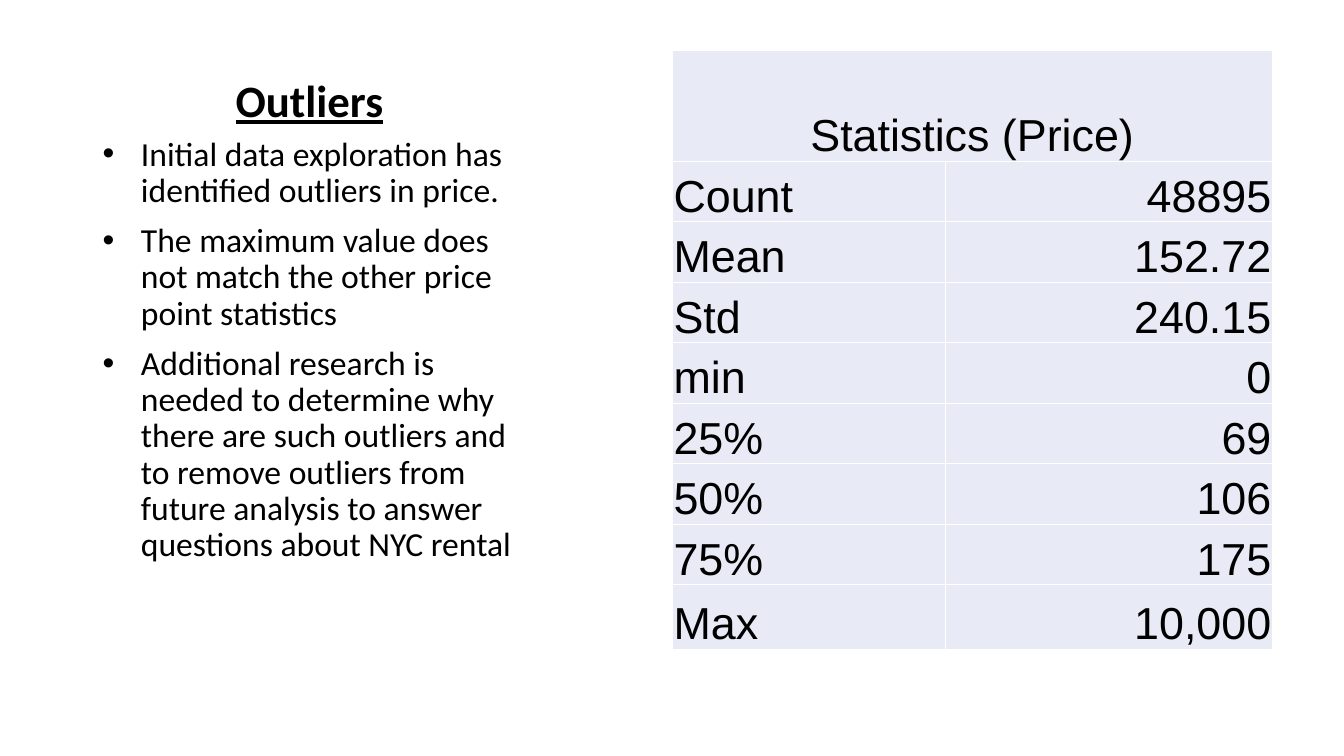
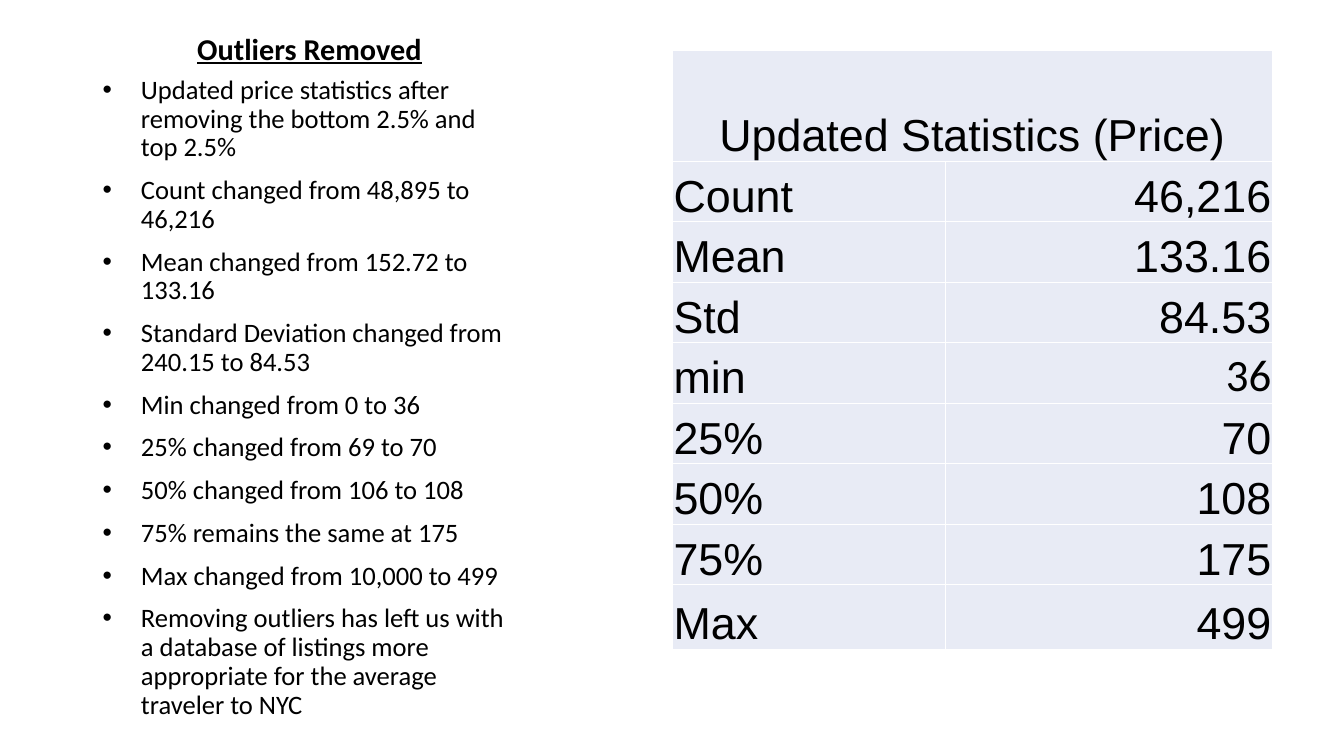
from lxml import etree
from pptx import Presentation, util as u
from pptx.dml.color import RGBColor
from pptx.enum import text
from pptx.oxml.ns import qn

INK = {"text": "000000", "cell": "E8EBF5", "rule": "FFFFFF"}
LEFT, CENTER, RIGHT = (text.PP_ALIGN.LEFT, text.PP_ALIGN.CENTER,
                       text.PP_ALIGN.RIGHT)
LABELS = ["Count", "Mean", "Std", "min", "25%", "50%", "75%", "Max"]
COLS = [2.71, 3.24]
ROWS = [1.1] + [0.6] * 7 + [0.64]

SLIDES = [
    {
        "title": "Outliers", "top": 0.5, "split": 1.31, "end": 6.41,
        "head": 32, "size": 24,
        "points": [
            "Initial data exploration has identified outliers in price.",
            "The maximum value does not match the other price point statistics",
            "Additional research is needed to determine why there are such "
            "outliers and to remove outliers from future analysis to answer "
            "questions about NYC rental",
        ],
        "caption": "Statistics (Price)",
        "stats": ["48895", "152.72", "240.15", "0", "69", "106", "175",
                  "10,000"],
        "fonts": {},
    },
    {
        "title": "Outliers Removed", "top": 0.26, "split": 0.71, "end": 7.36,
        "head": 21.6, "size": 19,
        "points": [
            "Updated price statistics after removing the bottom 2.5% and "
            "top 2.5%",
            "Count changed from 48,895 to 46,216",
            "Mean changed from 152.72 to 133.16",
            "Standard Deviation changed from 240.15 to 84.53",
            "Min changed from 0 to 36",
            "25% changed from 69 to 70",
            "50% changed from 106 to 108",
            "75% remains the same at 175",
            "Max changed from 10,000 to 499",
            "Removing outliers has left us with a database of listings more "
            "appropriate for the average traveler to NYC",
        ],
        "caption": "Updated Statistics (Price)",
        "stats": ["46,216", "133.16", "84.53", "36", "70", "108", "175",
                  "499"],
        "fonts": {"min": "Calibri"},
    },
]


def write(frame, lines, size, font="Calibri", align=LEFT, bold=False,
          line=None, bullet=False):
    """Fill a text frame, one paragraph per line."""
    frame.word_wrap = True
    for i, words in enumerate(lines):
        para = frame.paragraphs[0] if i == 0 else frame.add_paragraph()
        para.alignment, para.line_spacing = align, line
        para.space_before = u.Pt(10 if i else 0)
        if bullet:
            props = para._p.get_or_add_pPr()
            props.set("marL", str(u.Inches(0.38)))
            props.set("indent", str(-u.Inches(0.38)))
            mark = etree.SubElement(props, qn("a:buFont"))
            mark.set("typeface", "Arial")
            etree.SubElement(props, qn("a:buChar")).set("char", "•")
        run = para.add_run()
        run.text = words
        run.font.name, run.font.size = font, u.Pt(size)
        run.font.bold = run.font.underline = bold
        run.font.color.rgb = RGBColor.from_string(INK["text"])


def style(cell):
    """Give a table cell its margins, borders and fill."""
    cell.margin_left = cell.margin_right = cell.margin_top = u.Inches(0.01)
    cell.margin_bottom = 0
    cell.vertical_anchor = text.MSO_ANCHOR.BOTTOM
    props = cell._tc.get_or_add_tcPr()
    for side in ("lnL", "lnR", "lnT", "lnB"):
        edge = etree.SubElement(props, qn("a:" + side), w=str(u.Pt(1)))
        fill = etree.SubElement(edge, qn("a:solidFill"))
        etree.SubElement(fill, qn("a:srgbClr"), val=INK["rule"])
    cell.fill.solid()
    cell.fill.fore_color.rgb = RGBColor.from_string(INK["cell"])


deck = Presentation()
deck.slide_width, deck.slide_height = u.Inches(13.33), u.Inches(7.5)

for item in SLIDES:
    slide = deck.slides.add_slide(deck.slide_layouts[6])
    top, split, end = item["top"], item["split"], item["end"]

    # Title
    box = slide.shapes.add_textbox(u.Inches(0.92), u.Inches(top),
                                   u.Inches(4.3), u.Inches(split - top))
    box.text_frame.vertical_anchor = text.MSO_ANCHOR.BOTTOM
    write(box.text_frame, [item["title"]], item["head"], align=CENTER,
          bold=True, line=0.9)

    # Bullet points
    box = slide.shapes.add_textbox(u.Inches(0.92), u.Inches(split),
                                   u.Inches(4.3), u.Inches(end - split))
    write(box.text_frame, item["points"], item["size"], line=0.9, bullet=True)

    # Price table
    table = slide.shapes.add_table(
        len(ROWS), len(COLS), u.Inches(6.67), u.Inches(0.5),
        u.Inches(sum(COLS)), u.Inches(sum(ROWS))).table
    for col, width in zip(table.columns, COLS):
        col.width = u.Inches(width)
    for row, height in zip(table.rows, ROWS):
        row.height = u.Inches(height)
    for cell in table.iter_cells():
        style(cell)
    table.cell(0, 0).merge(table.cell(0, 1))
    write(table.cell(0, 0).text_frame, [item["caption"]], 32, "Arial", CENTER)
    for r, (label, stat) in enumerate(zip(LABELS, item["stats"]), 1):
        write(table.cell(r, 0).text_frame, [label], 32, "Arial")
        write(table.cell(r, 1).text_frame, [stat], 32,
              item["fonts"].get(label, "Arial"), RIGHT)

deck.save("out.pptx")
